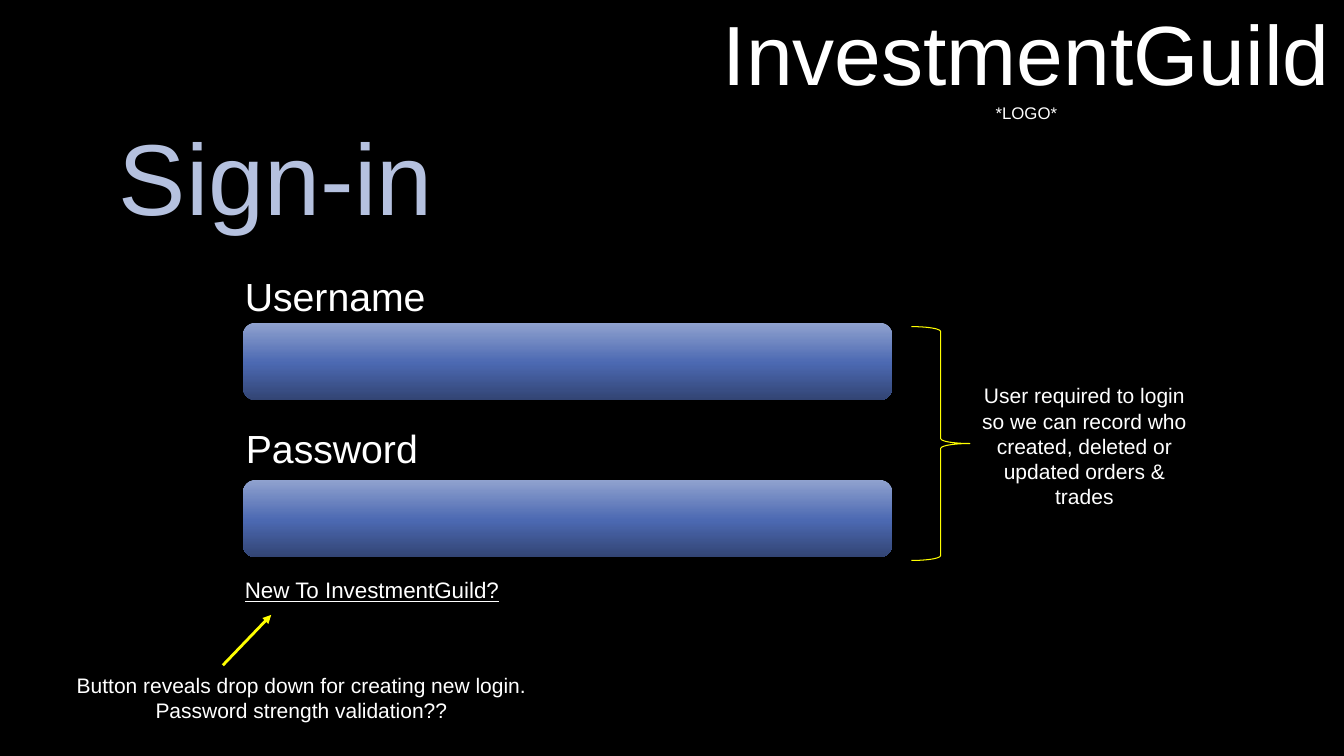
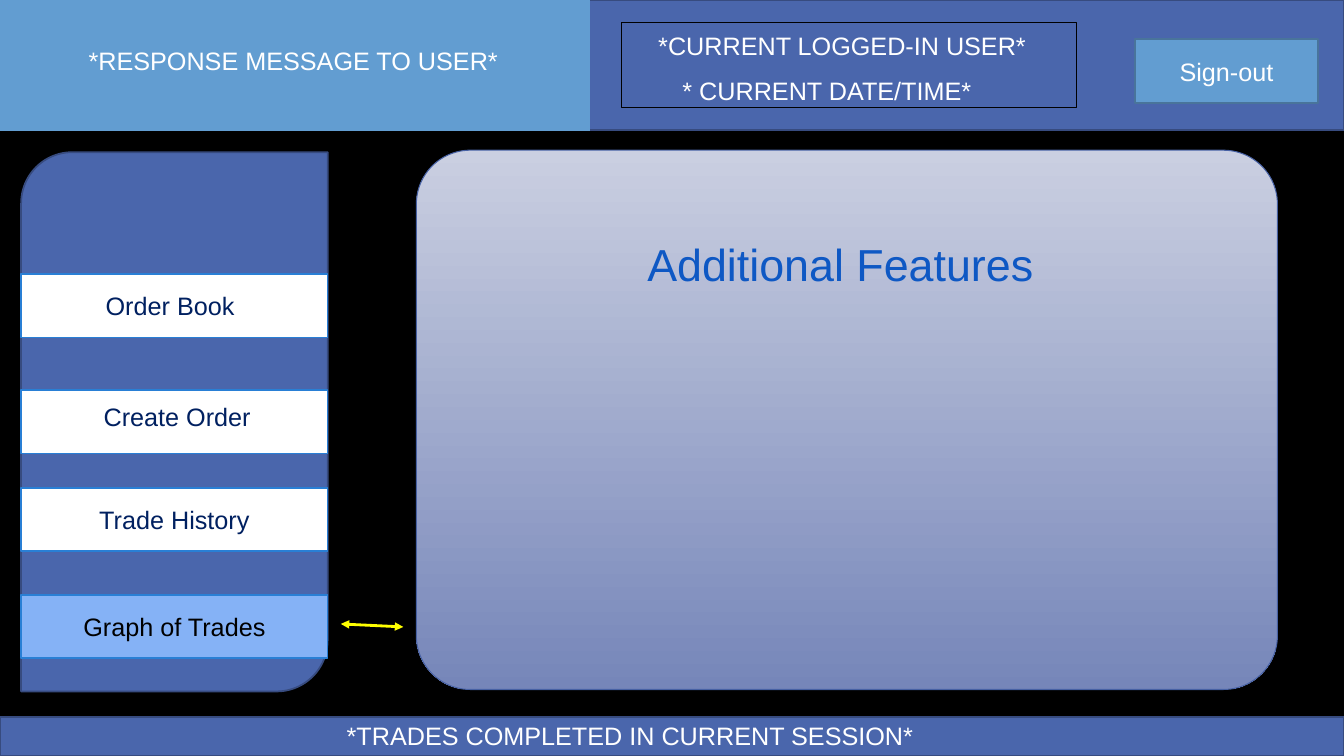
from lxml import etree
from pptx import Presentation
from pptx.dml.color import RGBColor
from pptx.enum import shapes, text
from pptx.oxml.ns import qn
from pptx.util import Inches, Pt

color = RGBColor.from_string
WHITE, YELLOW, NAVY = "FFFFFF", "FFFF00", "002060"
BLUE, BLUE_EDGE, SKY, SKY_EDGE, MENU_EDGE = "4A66AC", "374B7F", "629DD1", "49749B", "297FD5"
FIELD = [(0, "90A2CF"), (52, "4C69B2"), (100, "324473")]
PANEL = [(0, "CACFE1"), (100, "7686B9")]
KIND = shapes.MSO_SHAPE
LEFT, CENTER = text.PP_ALIGN.LEFT, text.PP_ALIGN.CENTER
TOP, MIDDLE = text.MSO_ANCHOR.TOP, text.MSO_ANCHOR.MIDDLE


def draw(page, kind, place, fill=None, edge=None, width=1.25):
    shape = page.shapes.add_shape(kind, *map(Inches, place))
    shape.shadow.inherit = False
    if isinstance(fill, list):
        shape.fill.gradient()
        shape.fill.gradient_angle = 270
        stops = shape.element.spPr.find(".//" + qn("a:gsLst"))
        for stop in list(stops):
            stops.remove(stop)
        for position, tone in fill:
            stop = etree.SubElement(stops, qn("a:gs"), pos=str(position * 1000))
            etree.SubElement(stop, qn("a:srgbClr"), val=tone)
    elif fill:
        shape.fill.solid()
        shape.fill.fore_color.rgb = color(fill)
    else:
        shape.fill.background()
    if edge:
        shape.line.color.rgb = color(edge)
        shape.line.width = Pt(width)
    else:
        shape.line.fill.background()
    return shape


def write(shape, spans, tone=WHITE, align=LEFT, anchor=TOP, underline=None):
    frame = shape.text_frame
    layout = {"word_wrap": True, "auto_size": text.MSO_AUTO_SIZE.NONE, "vertical_anchor": anchor}
    for name, value in layout.items():
        setattr(frame, name, value)
    para = frame.paragraphs[0]
    para.alignment = align
    for words, size in spans:
        span = para.add_run()
        span.text = words
        span.font.color.rgb = color(tone)
        for name, value in {"name": "Arial", "size": Pt(size), "underline": underline}.items():
            setattr(span.font, name, value)


deck = Presentation()
deck.slide_width, deck.slide_height = Inches(13.33), Inches(7.5)
background = deck.slide_master.background.fill
background.solid()
background.fore_color.rgb = color("000000")
signin, trading = [deck.slides.add_slide(deck.slide_layouts[5]) for _ in range(2)]

for top in (3.2, 4.76):
    draw(signin, KIND.ROUNDED_RECTANGLE, (2.41, top, 6.44, 0.77), FIELD)
draw(signin, KIND.RIGHT_BRACE, (9.04, 3.24, 0.58, 2.32), None, YELLOW, 0.75)

draw(trading, KIND.ROUND_2_DIAG_RECTANGLE, (0.21, 1.51, 3.04, 5.35), BLUE, BLUE_EDGE)
for top, height in ((0, 1.29), (7.11, 0.39)):
    draw(trading, KIND.RECTANGLE, (0, top, 13.33, height), BLUE, BLUE_EDGE)
draw(trading, KIND.RECTANGLE, (0, 0, 5.85, 1.3), SKY)
draw(trading, KIND.RECTANGLE, (6.16, 0.22, 4.52, 0.85), None, "000000", 0.75)
panel = draw(trading, KIND.ROUNDED_RECTANGLE, (4.13, 1.49, 8.54, 5.35), PANEL, "4761A4", 0.75)
panel.adjustments[0] = 0.1
for top in (2.72, 3.87):
    draw(trading, KIND.RECTANGLE, (0.21, top, 3.04, 0.63), WHITE, MENU_EDGE)

buttons = [
    ("Trade History", (0.21, 4.84, 3.04, 0.63), WHITE, MENU_EDGE, NAVY),
    ("Graph of Trades", (0.21, 5.9, 3.04, 0.63), "85B2F6", MENU_EDGE, "000000"),
    ("Sign-out", (11.26, 0.39, 1.81, 0.63), SKY, SKY_EDGE, WHITE),
]
for words, place, fill, edge, tone in buttons:
    button = draw(trading, KIND.RECTANGLE, place, fill, edge)
    write(button, [(words, 18)], tone, CENTER, MIDDLE)

labels = [
    (signin, (7.02, -0.03, 6.32, 1.31), [("InvestmentGuild ", 60), ("*LOGO*", 12)], {"align": CENTER}),
    (signin, (2.33, 2.65, 4.75, 0.57), [("Username", 28)], {}),
    (signin, (2.34, 4.16, 4.75, 0.57), [("Password", 28)], {}),
    (signin, (2.33, 5.67, 4.75, 0.37), [("New To InvestmentGuild?", 16)], {"underline": True}),
    (signin, (9.55, 3.75, 2.41, 1.11),
     [("User required to login so we can record who created, deleted or updated orders & trades", 15)],
     {"align": CENTER}),
    (signin, (0.53, 6.62, 4.92, 0.61),
     [("Button reveals drop down for creating new login. Password strength validation??", 15)],
     {"align": CENTER}),
    (trading, (0.78, 0.4, 4.29, 0.4), [("*RESPONSE MESSAGE TO USER*", 18)], {}),
    (trading, (6.43, 0.25, 4.29, 0.4), [("*CURRENT LOGGED-IN USER*", 18)], {}),
    (trading, (6.67, 0.7, 3.78, 0.4), [("* CURRENT DATE/TIME*", 18)], {}),
    (trading, (3.34, 7.1, 6.66, 0.4), [("*TRADES COMPLETED IN CURRENT SESSION*", 18)], {}),
    (trading, (0.95, 2.83, 1.84, 0.4), [("Order Book", 18)], {"tone": NAVY}),
    (trading, (0.93, 3.93, 1.84, 0.4), [("Create Order", 18)], {"tone": NAVY}),
]
for page, place, spans, style in labels:
    write(page.shapes.add_textbox(*map(Inches, place)), spans, **style)

arrows = [
    (signin, (2.21, 6.6, 2.69, 6.1), ["tailEnd"]),
    (trading, (3.38, 6.19, 4, 6.22), ["headEnd", "tailEnd"]),
]
for page, ends, heads in arrows:
    arrow = page.shapes.add_connector(shapes.MSO_CONNECTOR.STRAIGHT, *map(Inches, ends))
    arrow.line.color.rgb = color(YELLOW)
    arrow.line.width = Pt(2)
    for head in heads:
        etree.SubElement(arrow.line._get_or_add_ln(), qn("a:" + head), type="triangle")
    etree.SubElement(arrow.element.spPr, qn("a:effectLst"))

titles = [
    (signin, (1.08, 1.09, 4.75, 1.31), "Sign-in", 72, "B5C1DF"),
    (trading, (6.32, 2.3, 4.47, 0.64), "Additional Features", 32, "0E58C4"),
]
for page, place, words, size, tone in titles:
    title = page.shapes.title
    for name, value in zip(("left", "top", "width", "height"), place):
        setattr(title, name, Inches(value))
    write(title, [(words, size)], tone)
    title.element.getparent().append(title.element)

deck.save("out.pptx")
